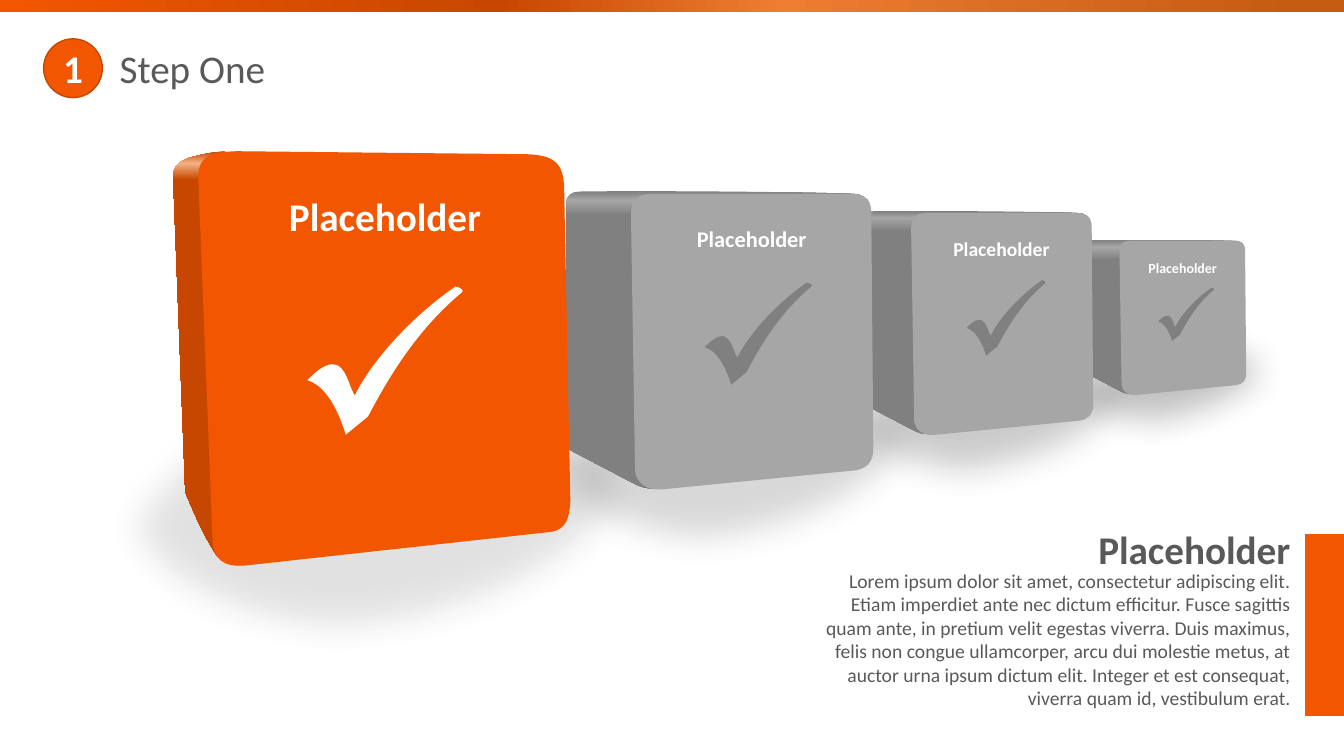
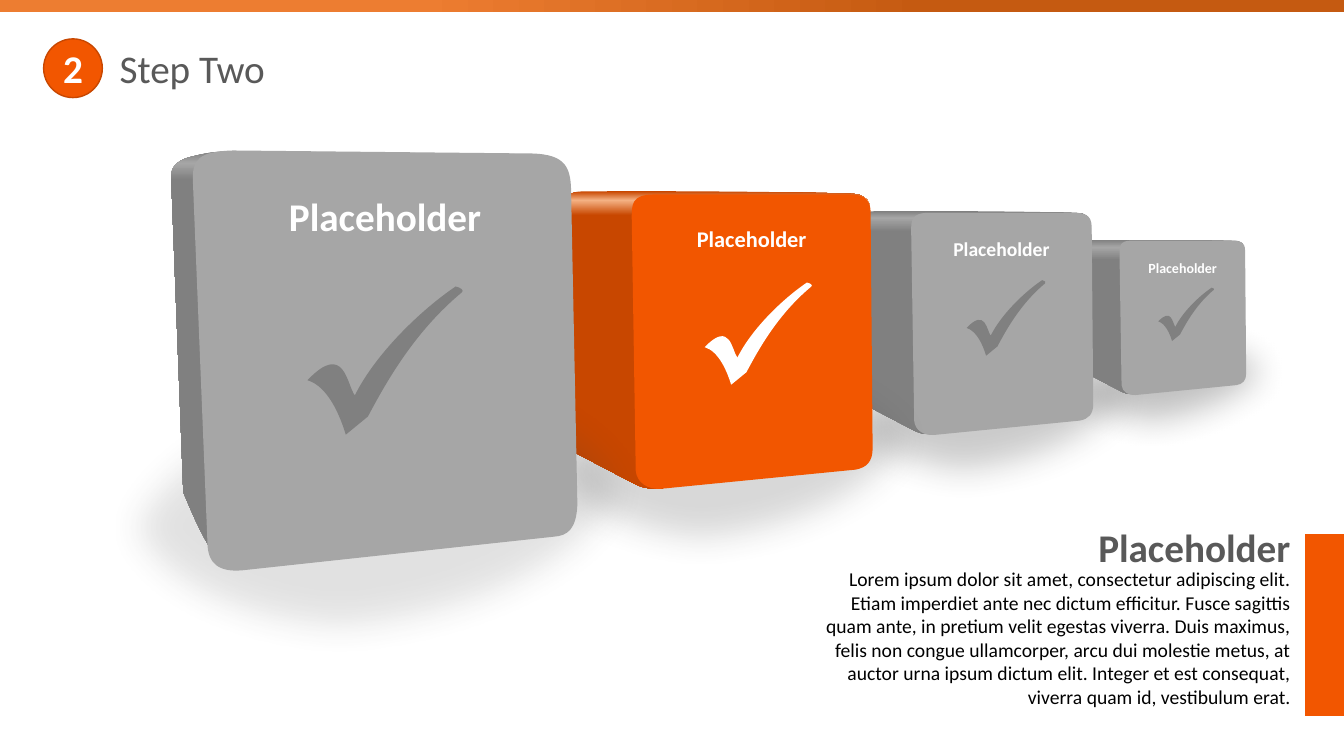
from dataclasses import dataclass

from lxml.etree import SubElement
from pptx import Presentation
from pptx.dml.color import RGBColor
from pptx.enum.shapes import MSO_SHAPE
from pptx.enum.text import MSO_ANCHOR, MSO_AUTO_SIZE, PP_ALIGN
from pptx.oxml.ns import qn
from pptx.util import Cm, Pt

FONT = "Calibri"
ORANGE, DARK_ORANGE, PALE_ORANGE = "F25600", "C84700", "F4B183"
GREY, DARK_GREY, TEXT_GREY = "A6A6A6", "808080", "595959"
SHADOW_GREY, WHITE, BLACK = "404040", "FFFFFF", "000000"
SLIDE_WIDTH, SLIDE_HEIGHT = 33.87, 19.05
UNITS_PER_CM = 100 / 2.54

BODY = (
    "Lorem ipsum dolor sit amet, consectetur adipiscing elit. Etiam imperdiet ante nec "
    "dictum efficitur. Fusce sagittis quam ante, in pretium velit egestas viverra. Duis "
    "maximus, felis non congue ullamcorper, arcu dui molestie metus, at auctor urna ipsum "
    "dictum elit. Integer et est consequat, viverra quam id, vestibulum erat."
)

FRONT = [
    (0, 23), (0, 10, 0, 0, 22, 0), (215, 0), (227, 0, 237, 2, 237, 18), (239, 252),
    (239, 265, 233, 271, 222, 273), (29, 292), (16, 293, 5, 286, 4, 274), (0, 23),
]
SIDE = [
    (225, 0), (222, -2, 42, -4, -50, -3), (-64, -3, -66, 6, -65, 15), (-64, 252),
    (-1, 285), (10, 291, 15, 292, 31, 292), (16, 288, 14, 286, 13, 272), (8, 26),
    (37, -19, 202, 20, 237, 16), (235, 4, 233, 4, 225, 0),
]
NEAR_FRONT = [
    (38, 0), (326, 3), (359, 4, 363, 17, 363, 43), (369, 347),
    (368, 371, 360, 377, 347, 378), (47, 411), (25, 413, 14, 405, 14, 384), (0, 30),
    (-1, 8, 6, 1, 38, 0),
]
NEAR_SIDE = [
    (27, 0), (14, 1, 4, 3, -7, 6), (-22, 10, -26, 19, -25, 27), (-13, 338),
    (-4, 360, 6, 383, 19, 402), (15, 276, 6, 152, 1, 26), (2, 9, 9, 7, 27, 0),
]
CHECK = [
    (0, 93), (20, 99, 32, 127, 38, 147), (60, 129), (78, 95, 106, 45, 153, 6),
    (156, 4, 152, 1, 147, 0), (113, 23, 68, 66, 47, 108), (39, 98, 37, 54, 0, 93),
]


@dataclass
class Cube:
    corner: tuple
    scale: float
    check: tuple
    check_scale: float
    label: tuple
    label_size: int
    shadow: tuple
    shadow_alpha: int
    glow: tuple
    front: list
    side: list
    grey_shift: tuple = (0, 0)
    grey_stretch: tuple = (1, 1)


CUBES = [
    Cube((28.23, 6.08), 0.52, (29.19, 7.25), 0.36, (28.23, 6.41, 3.15, 0.69), 10,
         (25.93, 7.7, 7.14, 3.78), 33, (5, 13), FRONT, SIDE),
    Cube((22.98, 5.38), 0.75, (24.36, 7.06), 0.51, (22.98, 5.84, 4.52, 0.86), 14,
         (20.4, 7.95, 8.99, 4.75), 27, (3, 9), FRONT, SIDE),
    Cube((15.92, 4.9), 1, (17.76, 7.12), 0.69, (15.92, 5.54, 6.05, 0.94), 16,
         (13, 8.66, 10.82, 5.72), 20, (3, 8), FRONT, SIDE),
    Cube((5, 3.81), 1, (7.75, 7.22), 1, (4.88, 4.72, 9.65, 1.45), 28,
         (2.41, 8.97, 14.2, 7.62), 15, (3, 7), NEAR_FRONT, NEAR_SIDE,
         (-0.05, -0.12), (1.03, 1.01)),
]


def color(hex_code):
    return RGBColor.from_string(hex_code)


def paint(shape, fill, line=None):
    shape.shadow.inherit = False
    shape.fill.solid()
    shape.fill.fore_color.rgb = color(fill)
    if line:
        shape.line.color.rgb = color(line)
        shape.line.width = Pt(1)
    else:
        shape.line.fill.background()


def paint_gradient(shape, stops, angle):
    paint(shape, stops[0][1])
    shape.fill.gradient()
    shape.fill.gradient_angle = angle
    stop_list = shape.element.spPr.find(".//" + qn("a:gsLst"))
    for default_stop in list(stop_list):
        stop_list.remove(default_stop)
    for percent, hex_code in stops:
        stop = SubElement(stop_list, qn("a:gs"), pos=str(percent * 1000))
        SubElement(stop, qn("a:srgbClr"), val=hex_code)


def style_text(frame, text, size, hex_code, bold=False, align=PP_ALIGN.LEFT,
               anchor=MSO_ANCHOR.TOP, wrap=True):
    frame.text = text
    frame.word_wrap = wrap
    frame.auto_size = MSO_AUTO_SIZE.NONE
    frame.vertical_anchor = anchor
    paragraph = frame.paragraphs[0]
    paragraph.alignment = align
    font = paragraph.runs[0].font
    font.name, font.size, font.bold = FONT, Pt(size), bold
    font.color.rgb = color(hex_code)


def add_text(shapes, box, text, size, hex_code, **style):
    label = shapes.add_textbox(*map(Cm, box))
    style_text(label.text_frame, text, size, hex_code, **style)


def add_preset(shapes, preset, box):
    return shapes.add_shape(preset, *map(Cm, box))


def add_outline(shapes, outline, corner, scale_x, scale_y):
    def locate(x, y):
        return (Cm(corner[0] + x * scale_x / UNITS_PER_CM),
                Cm(corner[1] + y * scale_y / UNITS_PER_CM))

    segments = [
        [locate(*segment[i:i + 2]) for i in range(0, len(segment), 2)] for segment in outline
    ]
    builder = shapes.build_freeform(*segments[0][-1])
    builder.add_line_segments([segment[-1] for segment in segments[1:]], close=True)
    shape = builder.convert_to_shape()
    lines = list(shape.element.spPr.iter(qn("a:lnTo")))
    for line, segment in zip(lines, segments[1:]):
        if len(segment) == 3:
            bend(line, segment, shape.left, shape.top)
    return shape


def bend(line, segment, left, top):
    outline = line.getparent()
    curve = SubElement(outline, qn("a:cubicBezTo"))
    for x, y in segment:
        SubElement(curve, qn("a:pt"), x=str(x - left), y=str(y - top))
    outline.replace(line, curve)


def add_shadow(slide, cube):
    shadow = add_preset(slide.shapes, MSO_SHAPE.OVAL, cube.shadow)
    shadow.rotation = 353.9
    paint(shadow, SHADOW_GREY)
    properties = shadow.element.spPr
    tint = properties.find(qn("a:solidFill")).find(qn("a:srgbClr"))
    SubElement(tint, qn("a:alpha"), val=str(cube.shadow_alpha * 1000))
    SubElement(properties.find(qn("a:effectLst")), qn("a:softEdge"), rad=str(Pt(25)))


def add_cube(slide, cube, active):
    shapes = slide.shapes.add_group_shape().shapes
    left, top = cube.corner
    if active:
        face, edge, shine, check_color = ORANGE, DARK_ORANGE, PALE_ORANGE, WHITE
        side_shift, front_shift, stretch, outline = 0, 0, (1, 1), None
    else:
        face, edge, shine, check_color = GREY, DARK_GREY, GREY, DARK_GREY
        side_shift, front_shift = cube.grey_shift
        stretch, outline = cube.grey_stretch, GREY

    side = add_outline(shapes, cube.side, (left + side_shift, top), cube.scale, cube.scale)
    glow_peak, glow_end = cube.glow
    paint_gradient(side, [(0, edge), (glow_peak, shine), (glow_end, edge), (100, edge)], 270)
    front = add_outline(shapes, cube.front, (left + front_shift, top),
                        cube.scale * stretch[0], cube.scale * stretch[1])
    paint(front, face, outline)
    check = add_outline(shapes, CHECK, cube.check, cube.check_scale, cube.check_scale)
    paint(check, check_color)
    add_text(shapes, cube.label, "Placeholder", cube.label_size, WHITE,
             bold=True, align=PP_ALIGN.CENTER)


def add_cubes(slide, active_cube, back_shadows):
    for cube in CUBES[:back_shadows]:
        add_shadow(slide, cube)
    for position, cube in enumerate(CUBES):
        if position >= back_shadows:
            add_shadow(slide, cube)
        add_cube(slide, cube, cube is active_cube)


def add_header(slide, number, title, band_stops):
    heading = slide.shapes.title
    heading.left, heading.top, heading.width, heading.height = map(Cm, (2.76, 0.99, 4.2, 1.45))
    style_text(heading.text_frame, title, 28, TEXT_GREY, wrap=False)
    badge = add_preset(slide.shapes, MSO_SHAPE.OVAL, (1.1, 0.98, 1.48, 1.48))
    paint(badge, ORANGE, DARK_ORANGE)
    style_text(badge.text_frame, str(number), 28, WHITE, bold=True,
               align=PP_ALIGN.CENTER, anchor=MSO_ANCHOR.MIDDLE)
    band = add_preset(slide.shapes, MSO_SHAPE.RECTANGLE, (0, 0, SLIDE_WIDTH, 0.3))
    paint_gradient(band, band_stops, 0)


def add_description(slide, top, body_color):
    add_text(slide.shapes, (19.98, top + 1.1, 12.8, 3.84), BODY, 14, body_color,
             align=PP_ALIGN.RIGHT)
    add_text(slide.shapes, (23.12, top, 9.65, 1.45), "Placeholder", 28, TEXT_GREY,
             bold=True, align=PP_ALIGN.RIGHT)
    accent = add_preset(slide.shapes, MSO_SHAPE.RECTANGLE, (32.89, 13.46, 0.98, 4.58))
    paint(accent, ORANGE)


def add_step(deck, number, title, band_stops, back_shadows, description_top, body_color):
    slide = deck.slides.add_slide(deck.slide_layouts[5])
    add_cubes(slide, CUBES[-number], back_shadows)
    add_header(slide, number, title, band_stops)
    add_description(slide, description_top, body_color)


def main():
    deck = Presentation()
    deck.slide_width, deck.slide_height = Cm(SLIDE_WIDTH), Cm(SLIDE_HEIGHT)
    add_step(deck, 1, "Step One",
             [(0, ORANGE), (37, DARK_ORANGE), (58, "ED7D31"), (97, "C55A11")],
             4, 13.1, TEXT_GREY)
    add_step(deck, 2, "Step Two",
             [(0, "ED7D31"), (31, "ED7D31"), (69, "C55A11"), (97, "C55A11")],
             2, 13.07, BLACK)
    deck.save("out.pptx")


if __name__ == "__main__":
    main()
